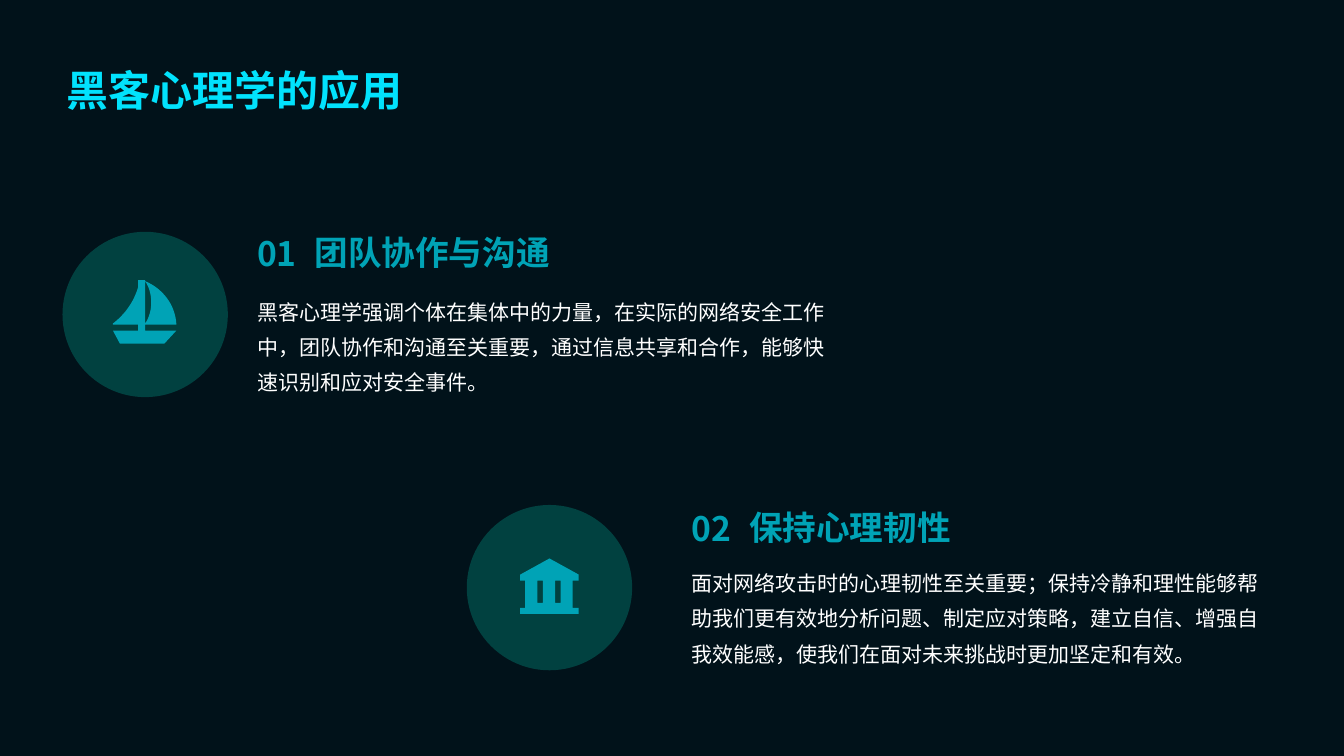
from lxml.etree import SubElement
from pptx import Presentation
from pptx.dml.color import RGBColor
from pptx.enum.shapes import MSO_SHAPE
from pptx.enum.text import MSO_ANCHOR
from pptx.oxml.ns import qn
from pptx.util import Inches, Pt

FONT = "Noto Sans CJK SC"
NIGHT, CYAN, TEAL, DISC, WHITE = "01121A", "01E2FD", "00A3B6", "014140", "FFFFFF"

TITLE = "黑客心理学的应用"
SECTIONS = [
    {"number": "01", "heading": "团队协作与沟通",
     "body": "黑客心理学强调个体在集体中的力量，在实际的网络安全工作中，团队协作和沟通至关重要，"
             "通过信息共享和合作，能够快速识别和应对安全事件。",
     "left": 2.48, "heading_top": 2.2, "body_top": 2.83, "disc": (0.62, 2.3)},
    {"number": "02", "heading": "保持心理韧性",
     "body": "面对网络攻击时的心理韧性至关重要；保持冷静和理性能够帮助我们更有效地分析问题、"
             "制定应对策略，建立自信、增强自我效能感，使我们在面对未来挑战时更加坚定和有效。",
     "left": 6.79, "heading_top": 4.93, "body_top": 5.52, "disc": (4.63, 5.01)},
]
DISC_SIZE = 1.64
SNUG = (0.07, 0.04, 0.07, 0.04)

TITLE_STYLE = {"size": Pt(30), "bold": True}
HEADING_STYLE = {"size": Pt(24), "bold": True}
BODY_STYLE = {"size": Pt(15), "bold": False}


def bezier(start, control1, control2, end, steps=16):
    """Points along a cubic curve, without its start."""
    points = []
    for step in range(1, steps + 1):
        t = step / steps
        weights = ((1 - t) ** 3, 3 * t * (1 - t) ** 2, 3 * t * t * (1 - t), t ** 3)
        points.append(tuple(
            sum(w * value for w, value in zip(weights, axis))
            for axis in zip(start, control1, control2, end)))
    return points


def block(left, top, right, bottom):
    return [(left, top), (right, top), (right, bottom), (left, bottom)]


HULL_AND_FORESAIL = [
    (1.37, 2.78), (1.44, 2.78), (1.44, 3.28), (1.75, 3.28), (1.63, 3.41),
    (1.19, 3.41), (1.12, 3.28), (1.37, 3.28), (1.37, 3.22), (1.12, 3.22), (1.12, 3.21),
    *bezier((1.12, 3.21), (1.24, 3.12), (1.33, 2.99), (1.37, 2.85)),
]
MAINSAIL = [
    (1.75, 3.22), (1.44, 3.22), (1.44, 3.21),
    *bezier((1.44, 3.21), (1.48, 3.15), (1.5, 3.08), (1.5, 3)),
    *bezier((1.5, 3), (1.5, 2.92), (1.48, 2.85), (1.44, 2.79)),
    *bezier((1.44, 2.79), (1.61, 2.86), (1.74, 3.02), (1.75, 3.22)),
]
ROOF = [(5.16, 5.7), (5.45, 5.54), (5.74, 5.7), (5.74, 5.76), (5.16, 5.76)]
STEPS = [block(5.21, 5.98, 5.68, 6.03), block(5.16, 6.03, 5.74, 6.09)]
PILLARS = [block(left, 5.76, left + 0.12, 5.98)
           for left in (5.21 + 0.175 * i for i in range(3))]
ICONS = [[HULL_AND_FORESAIL, MAINSAIL], [ROOF, *STEPS, *PILLARS]]


def paint(fill, color):
    fill.solid()
    fill.fore_color.rgb = RGBColor.from_string(color)


def finish(shape, color):
    paint(shape.fill, color)
    shape.line.fill.background()
    shape.shadow.inherit = False


def add_text(slide, text, box, style, color, anchor=MSO_ANCHOR.TOP, spacing=1.2, insets=SNUG):
    frame = slide.shapes.add_textbox(*map(Inches, box)).text_frame
    frame.word_wrap = True
    frame.vertical_anchor = anchor
    for side, inset in zip(("left", "top", "right", "bottom"), insets):
        setattr(frame, f"margin_{side}", Inches(inset))
    paragraph = frame.paragraphs[0]
    paragraph.line_spacing = spacing
    run = paragraph.add_run()
    run.text = text
    for name, value in {**style, "name": FONT}.items():
        setattr(run.font, name, value)
    paint(run.font.fill, color)
    SubElement(run.font._element, qn("a:ea"), typeface=FONT)


def add_icon(slide, outlines):
    contours = [[(Inches(x), Inches(y)) for x, y in outline] for outline in outlines]
    builder = slide.shapes.build_freeform(*contours[0][0])
    for index, (start, *rest) in enumerate(contours):
        if index:
            builder.move_to(*start)
        builder.add_line_segments(rest, close=True)
    finish(builder.convert_to_shape(), TEAL)


def add_section(slide, section, icon):
    left, top = section["left"], section["heading_top"]
    add_text(slide, section["number"], (left, top - 0.09, 0.72, 0.72),
             HEADING_STYLE, TEAL, MSO_ANCHOR.MIDDLE)
    add_text(slide, section["heading"], (left + 0.57, top, 3.27, 0.54),
             HEADING_STYLE, TEAL, MSO_ANCHOR.BOTTOM)
    add_text(slide, section["body"], (left, section["body_top"], 5.94, 1.17),
             BODY_STYLE, WHITE, spacing=1.4)
    disc_box = (*section["disc"], DISC_SIZE, DISC_SIZE)
    finish(slide.shapes.add_shape(MSO_SHAPE.OVAL, *map(Inches, disc_box)), DISC)
    add_icon(slide, icon)


def main():
    deck = Presentation()
    deck.slide_width, deck.slide_height = Inches(13.33), Inches(7.5)
    slide = deck.slides.add_slide(deck.slide_layouts[6])
    paint(slide.background.fill, NIGHT)
    add_text(slide, TITLE, (0.52, 0.29, 12.29, 1), TITLE_STYLE, CYAN,
             MSO_ANCHOR.MIDDLE, 1.4, (0.14, 0.14, 0.06, 0.14))
    for section, icon in zip(SECTIONS, ICONS):
        add_section(slide, section, icon)
    deck.save("out.pptx")


if __name__ == "__main__":
    main()
